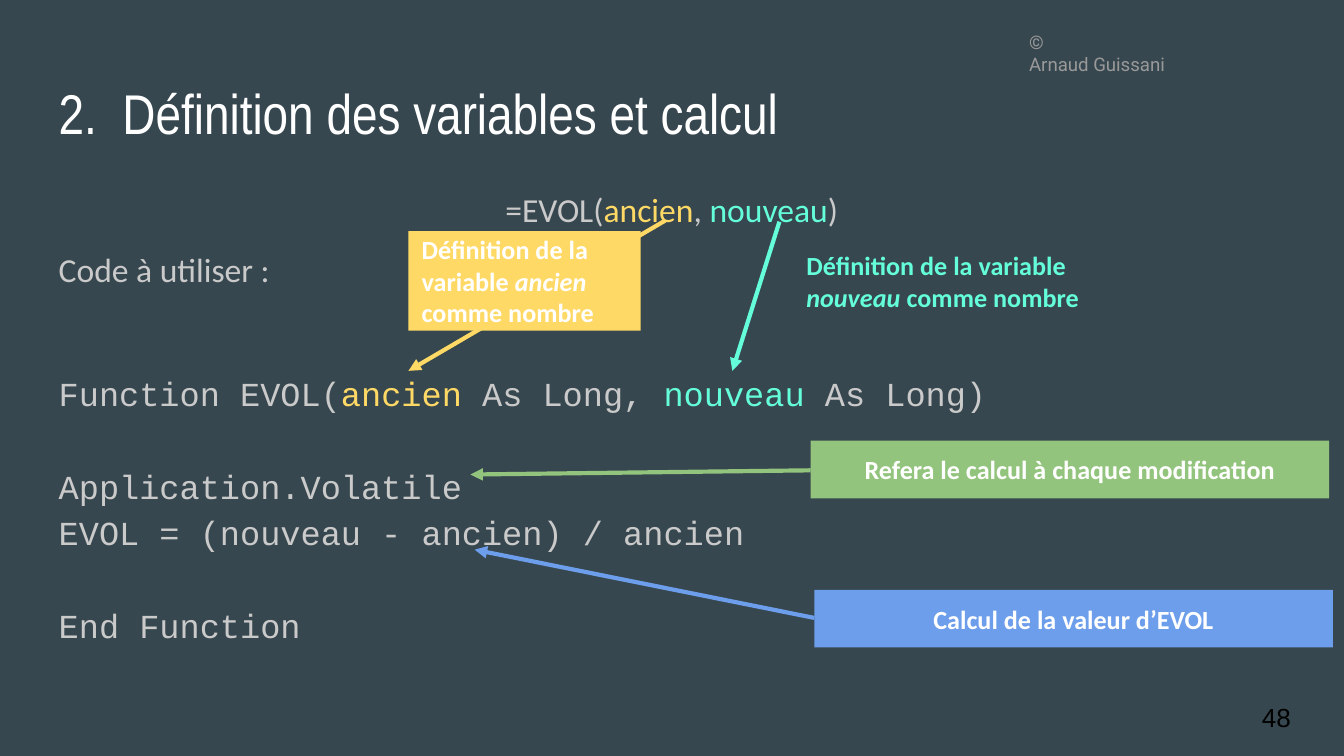
from lxml import etree
from pptx import Presentation
from pptx.dml.color import RGBColor
from pptx.enum.shapes import MSO_CONNECTOR, MSO_SHAPE
from pptx.enum.text import MSO_ANCHOR, PP_ALIGN
from pptx.oxml.ns import qn
from pptx.util import Cm, Pt

BACKGROUND, WHITE, BLACK = "37474F", "FFFFFF", "000000"
GREY, CREDIT_GREY = "CACACA", "999999"
YELLOW, MINT, GREEN, BLUE = "FFD966", "64FFDA", "93C47D", "6D9EEB"

TITLE = "2.  Définition des variables et calcul"
CREDIT = "©\vArnaud Guissani"
PAGE = "48"

# A paragraph is a list of runs: plain text, or text with its own format
FORMULA = ["=EVOL(", ("ancien", {"color": YELLOW}), ", ",
           ("nouveau", {"color": MINT}), ")"]
INTRO = ["Code à utiliser :"]
# Code lines, each with the space before it in points
CODE = [
    (41.5, ["Function EVOL(", ("ancien", {"color": YELLOW}), " As Long, ",
            ("nouveau", {"color": MINT}), " As Long)"]),
    (24.9, ["Application.Volatile"]),
    (0, ["EVOL = (nouveau - ancien) / ancien"]),
    (24.9, ["End Function"]),
]

# Colour, start and end in cm
ARROWS = [
    (YELLOW, (12.57, 4.17), (7.72, 7.01)),
    (MINT, (14.73, 4.19), (13.84, 7.01)),
    (GREEN, (15.32, 8.89), (8.89, 8.97)),
    (BLUE, (15.39, 11.68), (8.97, 10.39)),
]
# Runs, box in cm, fill, text colour, alignment
CALLOUTS = [
    (["Définition de la variable ", ("ancien", {"italic": True}), " comme nombre"],
     (7.72, 4.37, 4.39, 1.88), YELLOW, WHITE, PP_ALIGN.LEFT),
    (["Définition de la variable ", ("nouveau ", {"italic": True}), "comme nombre"],
     (14.99, 4.37, 5.87, 1.88), None, MINT, PP_ALIGN.LEFT),
    (["Refera le calcul à chaque modification"],
     (15.32, 8.33, 9.8, 1.09), GREEN, WHITE, PP_ALIGN.CENTER),
    (["Calcul de la valeur d’EVOL"],
     (15.39, 11.15, 9.8, 1.09), BLUE, WHITE, PP_ALIGN.CENTER),
]


def rgb(color):
    return RGBColor.from_string(color)


def write(paragraph, runs, size=18, font="Calibri", color=GREY, bold=False,
          align=PP_ALIGN.LEFT, line=1.0, before=0):
    paragraph.alignment = align
    paragraph.line_spacing = line
    paragraph.space_before = Pt(before)
    paragraph.space_after = Pt(0)
    for item in runs:
        text, extra = (item, {}) if isinstance(item, str) else item
        for index, part in enumerate(text.split("\v")):
            if index:
                paragraph.add_line_break()
            run = paragraph.add_run()
            run.text = part
            run.font.size = Pt(size)
            run.font.name = font
            run.font.bold = bold
            run.font.italic = extra.get("italic", False)
            run.font.color.rgb = rgb(extra.get("color", color))


def prepare(shape, box, anchor=MSO_ANCHOR.TOP):
    """Place a shape and return its text frame, with even margins."""
    shape.left, shape.top, shape.width, shape.height = map(Cm, box)
    frame = shape.text_frame
    frame.word_wrap = True
    frame.vertical_anchor = anchor
    frame.margin_left = frame.margin_right = Cm(0.25)
    frame.margin_top = frame.margin_bottom = Cm(0.25)
    return frame


def add_text(slide, box, anchor=MSO_ANCHOR.TOP):
    return prepare(slide.shapes.add_textbox(0, 0, 0, 0), box, anchor)


def add_callout(slide, runs, box, fill, color, align):
    if fill:
        shape = slide.shapes.add_shape(MSO_SHAPE.RECTANGLE, 0, 0, 0, 0)
        shape.shadow.inherit = False
        shape.fill.solid()
        shape.fill.fore_color.rgb = rgb(fill)
        shape.line.fill.background()
        frame = prepare(shape, box, MSO_ANCHOR.MIDDLE)
    else:
        frame = add_text(slide, box, MSO_ANCHOR.MIDDLE)
    write(frame.paragraphs[0], runs, size=14, color=color, bold=True, align=align)


def add_arrow(slide, color, start, end):
    arrow = slide.shapes.add_connector(MSO_CONNECTOR.STRAIGHT,
                                       *map(Cm, start + end))
    arrow.line.color.rgb = rgb(color)
    arrow.line.width = Pt(2.25)
    etree.SubElement(arrow.line._get_or_add_ln(), qn("a:tailEnd"), type="triangle")
    etree.SubElement(arrow._element.spPr, qn("a:effectLst"))


def main():
    deck = Presentation()
    deck.slide_width, deck.slide_height = Cm(25.4), Cm(14.29)
    slide = deck.slides.add_slide(deck.slide_layouts[5])
    slide.background.fill.solid()
    slide.background.fill.fore_color.rgb = rgb(BACKGROUND)

    credit = add_text(slide, (19.2, 0.33, 6.05, 1.07))
    write(credit.paragraphs[0], [CREDIT], size=10, font="Roboto", color=CREDIT_GREY)

    title = prepare(slide.shapes.title, (0.86, 1.24, 23.67, 1.6))
    write(title.paragraphs[0], [TITLE], size=30, font="Arial Narrow", color=WHITE)

    body = add_text(slide, (0.86, 3.2, 23.67, 9.5))
    write(body.paragraphs[0], FORMULA, align=PP_ALIGN.CENTER, line=1.15)
    write(body.add_paragraph(), INTRO, line=1.15, before=7.5)
    for before, runs in CODE:
        write(body.add_paragraph(), runs, font="Courier New",
              line=Pt(24.9), before=before)

    page = add_text(slide, (23.6, 13, 1.52, 1.09), MSO_ANCHOR.MIDDLE)
    write(page.paragraphs[0], [PAGE], size=14, font="Arial", color=BLACK)

    for arrow in ARROWS:
        add_arrow(slide, *arrow)
    for callout in CALLOUTS:
        add_callout(slide, *callout)

    deck.save("out.pptx")


if __name__ == "__main__":
    main()
